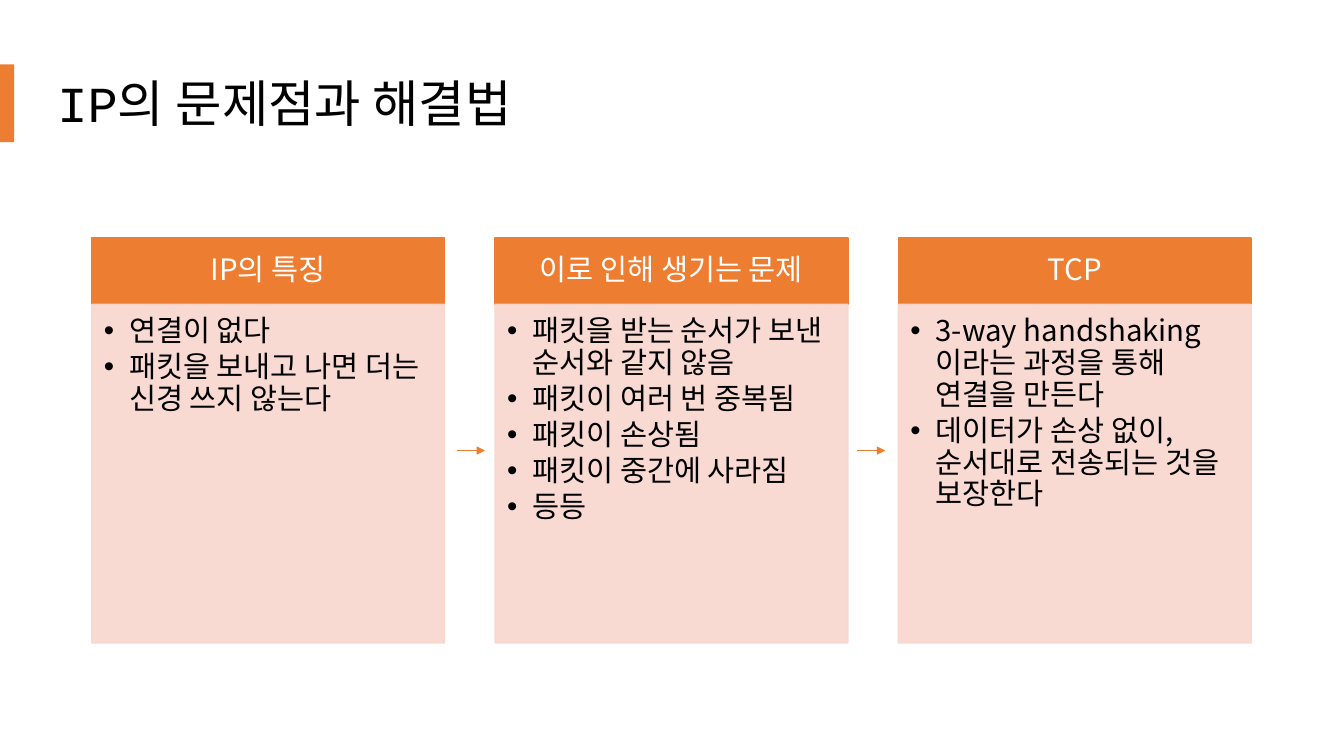
import pptx
import pptx.util
import pptx.dml.color
import pptx.enum.shapes
import pptx.enum.text
import pptx.oxml
import pptx.oxml.ns
from pptx.util import Inches

ORANGE = pptx.dml.color.RGBColor(0xED, 0x7D, 0x31)
PINK = pptx.dml.color.RGBColor(0xF8, 0xD7, 0xCE)
BLACK = pptx.dml.color.RGBColor(0, 0, 0)
WHITE = pptx.dml.color.RGBColor(0xFF, 0xFF, 0xFF)
ALIGN = pptx.enum.text.PP_ALIGN
ANCHOR = pptx.enum.text.MSO_ANCHOR

COLUMNS = [
    ("IP의 특징", ["연결이 없다", "패킷을 보내고 나면 더는 신경 쓰지 않는다"]),
    ("이로 인해 생기는 문제", [
        "패킷을 받는 순서가 보낸 순서와 같지 않음",
        "패킷이 여러 번 중복됨",
        "패킷이 손상됨",
        "패킷이 중간에 사라짐",
        "등등",
    ]),
    ("TCP", [
        "3-way handshaking 이라는 과정을 통해 연결을 만든다",
        "데이터가 손상 없이, 순서대로 전송되는 것을 보장한다",
    ]),
]


def add_xml(parent, tag, **attributes):
    parent.append(parent.makeelement(pptx.oxml.ns.qn(tag), attributes))


class ComparisonSlide:
    font = "Noto Sans CJK KR"
    title_font = "Courier New"
    text_size = pptx.util.Pt(21)

    def __init__(self, deck):
        self.slide = deck.slides.add_slide(deck.slide_layouts[5])

    def add_text(self, paragraph, text, color, size, font):
        paragraph.line_spacing = 0.9
        run = paragraph.add_run()
        run.text = text
        run.font.size = size
        run.font.name = font
        run.font.color.rgb = color
        add_xml(run.font._element, "a:ea", typeface=self.font)

    def title(self, text):
        heading = self.slide.shapes.title
        heading.left, heading.top = Inches(0.47), Inches(0.45)
        heading.width, heading.height = Inches(12.25), Inches(1.21)
        heading.text_frame.vertical_anchor = ANCHOR.MIDDLE
        paragraph = heading.text_frame.paragraphs[0]
        paragraph.alignment = ALIGN.LEFT
        self.add_text(paragraph, text, BLACK, pptx.util.Pt(36), self.title_font)

    def block(self, left, top, width, height, color, outlined=True, opacity=None):
        block = self.slide.shapes.add_shape(
            pptx.enum.shapes.MSO_SHAPE.RECTANGLE,
            Inches(left), Inches(top), Inches(width), Inches(height))
        block.shadow.inherit = False
        block.fill.solid()
        block.fill.fore_color.rgb = color
        if outlined:
            block.line.color.rgb = color
            block.line.width = pptx.util.Pt(1)
        else:
            block.line.fill.background()
        if opacity:
            for shade in block._element.spPr.iter(pptx.oxml.ns.qn("a:srgbClr")):
                add_xml(shade, "a:alpha", val=str(opacity * 1000))
        return block

    def frame(self, block, anchor, left, top, right, bottom):
        frame = block.text_frame
        frame.word_wrap = True
        frame.vertical_anchor = anchor
        frame.margin_left, frame.margin_top = Inches(left), Inches(top)
        frame.margin_right, frame.margin_bottom = Inches(right), Inches(bottom)
        return frame

    def column_header(self, left, text):
        header = self.block(left, 2.36, 3.5, 0.66, ORANGE)
        frame = self.frame(header, ANCHOR.MIDDLE, 0.16, 0.09, 0.16, 0.09)
        paragraph = frame.paragraphs[0]
        paragraph.alignment = ALIGN.CENTER
        self.add_text(paragraph, text, WHITE, self.text_size, self.font)

    def column_body(self, left, points):
        body = self.block(left, 3.02, 3.5, 3.36, PINK, opacity=90)
        frame = self.frame(body, ANCHOR.TOP, 0.12, 0.12, 0.16, 0.18)
        for index, point in enumerate(points):
            paragraph = frame.add_paragraph() if index else frame.paragraphs[0]
            paragraph.alignment = ALIGN.LEFT
            paragraph.level = 1
            paragraph.space_after = pptx.util.Pt(3)
            self.add_text(paragraph, point, BLACK, self.text_size, self.font)
            properties = paragraph._p.get_or_add_pPr()
            properties.set("marL", str(Inches(0.25)))
            properties.set("indent", str(Inches(-0.25)))
            add_xml(properties, "a:buFont", typeface="Arial")
            add_xml(properties, "a:buChar", char="•")

    def arrow(self, left, top, length):
        arrow = self.slide.shapes.add_connector(
            pptx.enum.shapes.MSO_CONNECTOR.STRAIGHT,
            Inches(left), Inches(top), Inches(left + length), Inches(top))
        arrow.line.color.rgb = ORANGE
        arrow.line.width = pptx.util.Pt(0.5)
        properties = arrow._element.spPr
        add_xml(properties.get_or_add_ln(), "a:tailEnd", type="triangle")
        add_xml(properties, "a:effectLst")


def main():
    deck = pptx.Presentation()
    deck.slide_width, deck.slide_height = Inches(13.33), Inches(7.5)
    page = ComparisonSlide(deck)
    page.title("IP의 문제점과 해결법")
    page.block(0, 0.64, 0.14, 0.77, ORANGE, outlined=False)
    for index, (heading, points) in enumerate(COLUMNS):
        left = 0.91 + 4 * index
        page.column_header(left, heading)
        page.column_body(left, points)
    for index in range(len(COLUMNS) - 1):
        page.arrow(4.53 + 3.97 * index, 4.47, 0.28)
    deck.save("out.pptx")


if __name__ == "__main__":
    main()
